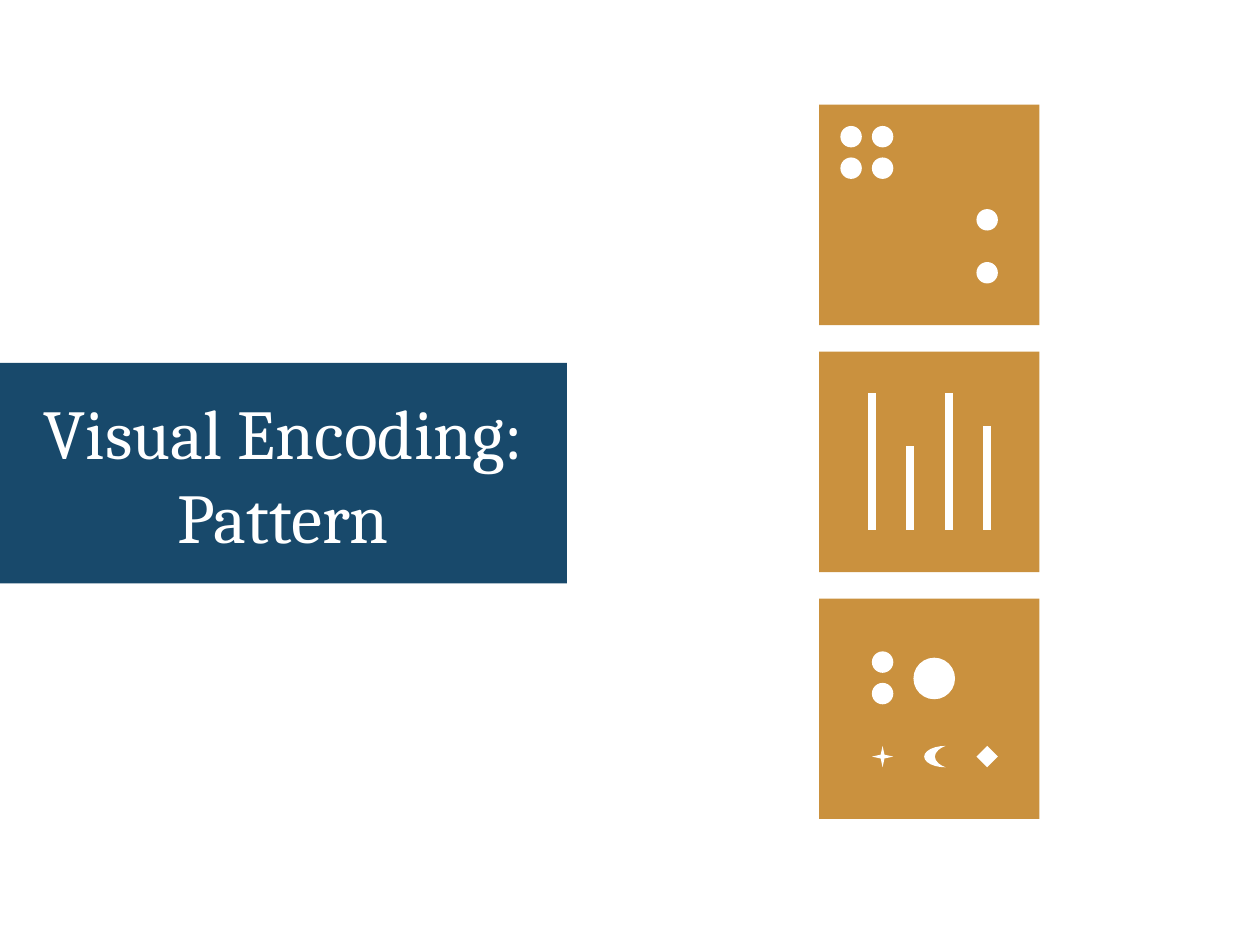
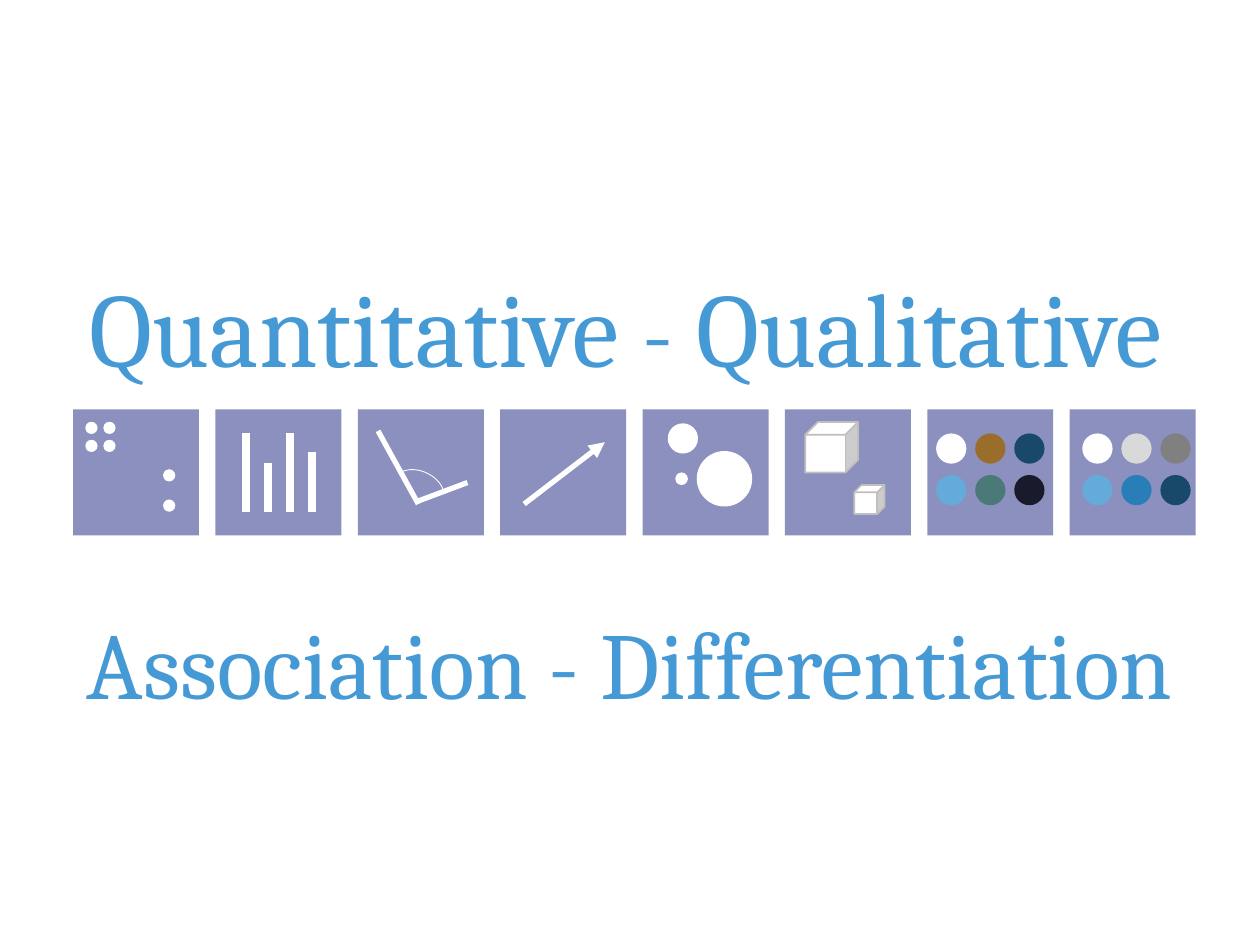
import pptx
import pptx.dml.color
import pptx.enum.shapes
import pptx.enum.text
import pptx.oxml
import pptx.oxml.ns
import pptx.util

Inches = pptx.util.Inches
Pt = pptx.util.Pt
RGBColor = pptx.dml.color.RGBColor
Kind = pptx.enum.shapes.MSO_SHAPE
Anchor = pptx.enum.text.MSO_ANCHOR

WHITE = RGBColor(0xFF, 0xFF, 0xFF)
NAVY = RGBColor(0x18, 0x49, 0x6B)
GOLD = RGBColor(0xCA, 0x91, 0x3E)
LILAC = RGBColor(0x8B, 0x90, 0xBE)
AZURE = RGBColor(0x45, 0x9A, 0xD5)
SKY = RGBColor(0x64, 0xAB, 0xDC)
BLUE = RGBColor(0x29, 0x7E, 0xB8)
BROWN = RGBColor(0x9B, 0x6D, 0x2B)
TEAL = RGBColor(0x4B, 0x79, 0x78)
INK = RGBColor(0x19, 0x1B, 0x2C)
PALE = RGBColor(0xD9, 0xD9, 0xD9)
SILVER = RGBColor(0xBF, 0xBF, 0xBF)
GREY = RGBColor(0x80, 0x80, 0x80)
FONT = "Cambria"
BASE = 1.75
HUES = [WHITE, BROWN, NAVY, SKY, TEAL, INK]
TONES = [WHITE, PALE, GREY, SKY, BLUE, NAVY]


class Tile:
    """A square group whose marks are placed from its top left corner."""

    def __init__(self, slide, left, top, size, color):
        self.group = slide.shapes.add_group_shape()
        self.left, self.top, self.size = left, top, size
        self.mark(Kind.RECTANGLE, 0, 0, size, size, fill=color)

    def mark(self, kind, x, y, wide, high, fill=WHITE, edge=None, weight=1):
        """Add a preset shape, flat and with an optional outline."""
        shape = self.group.shapes.add_shape(
            kind, Inches(self.left + x), Inches(self.top + y), Inches(wide), Inches(high))
        shape.shadow.inherit = False
        if fill is None:
            shape.fill.background()
        else:
            shape.fill.solid()
            shape.fill.fore_color.rgb = fill
        if edge is None:
            shape.line.fill.background()
        else:
            shape.line.color.rgb = edge
            shape.line.width = Pt(weight)
        return shape

    def dot(self, x, y, size, fill=WHITE):
        """Add a round dot."""
        self.mark(Kind.OVAL, x, y, size, size, fill=fill)

    def stroke(self, start, end, weight=3, arrow=False):
        """Add a white line, with an arrowhead at its end if asked."""
        (x1, y1), (x2, y2) = start, end
        line = self.group.shapes.add_connector(
            pptx.enum.shapes.MSO_CONNECTOR.STRAIGHT,
            Inches(self.left + x1), Inches(self.top + y1),
            Inches(self.left + x2), Inches(self.top + y2))
        line.line.color.rgb = WHITE
        line.line.width = Pt(weight)
        space = pptx.oxml.ns.nsdecls("a")
        if arrow:
            line.line._get_or_add_ln().append(
                pptx.oxml.parse_xml(f'<a:tailEnd {space} type="triangle"/>'))
        line.element.spPr.append(pptx.oxml.parse_xml(f"<a:effectLst {space}/>"))


def place(tile):
    """Draw the dots that stand for position."""
    scale = tile.size / BASE
    near = [(x, y) for x in (0.17, 0.42) for y in (0.17, 0.42)]
    for x, y in near + [(1.25, 0.83), (1.25, 1.25)]:
        tile.dot(x * scale, y * scale, 0.17 * scale)


def bars(tile):
    """Draw the upright lines that stand for length."""
    scale = tile.size / BASE
    for step, top in enumerate((0.33, 0.75, 0.33, 0.59)):
        x = (0.42 + 0.305 * step) * scale
        tile.stroke((x, top * scale), (x, 1.42 * scale), weight=4.5)


def forms(tile):
    """Draw marks of differing size and shape."""
    tile.dot(0.42, 0.42, 0.17)
    tile.dot(0.42, 0.67, 0.17)
    tile.dot(0.75, 0.47, 0.33)
    for step, kind in enumerate((Kind.STAR_4_POINT, Kind.MOON, Kind.DIAMOND)):
        tile.mark(kind, 0.42 + 0.415 * step, 1.17, 0.17, 0.17)


def angle(tile):
    """Draw two arms and the arc between them."""
    tile.stroke((0.16, 0.17), (0.48, 0.75))
    tile.stroke((0.87, 0.58), (0.47, 0.73))
    arc = tile.mark(Kind.ARC, 0.28, 0.49, 0.41, 0.28, fill=None, edge=WHITE, weight=0.5)
    arc.adjustments[0] = 119.44
    arc.adjustments[1] = 204.67
    arc.rotation = 23.6


def slope(tile):
    """Draw the arrow that stands for direction."""
    tile.stroke((0.19, 0.75), (0.83, 0.26), arrow=True)


def area(tile):
    """Draw circles of differing area."""
    for x, y, size in ((0.2, 0.11, 0.24), (0.26, 0.5, 0.1), (0.43, 0.33, 0.44)):
        tile.dot(x, y, size)


def cubes(tile):
    """Draw cubes of differing volume."""
    for x, y, wide, high in ((0.16, 0.1, 0.42, 0.4), (0.55, 0.6, 0.24, 0.23)):
        tile.mark(Kind.CUBE, x, y, wide, high, edge=SILVER)


def swatch(tile, colors, left):
    """Draw six colours in two rows of three."""
    for step, color in enumerate(colors):
        row, col = divmod(step, 3)
        tile.dot(left + 0.31 * col, 0.19 + 0.33 * row, 0.24, fill=color)


def hues(tile):
    """Draw the differing hues."""
    swatch(tile, HUES, 0.07)


def tones(tile):
    """Draw the differing tones."""
    swatch(tile, TONES, 0.1)


def write(shape, lines, box, color=AZURE, anchor=Anchor.TOP, space=1.5):
    """Set a shape's box and its centred lines of (text, size) runs."""
    shape.left, shape.top, shape.width, shape.height = map(Inches, box)
    frame = shape.text_frame
    frame.word_wrap = True
    frame.auto_size = pptx.enum.text.MSO_AUTO_SIZE.NONE
    frame.vertical_anchor = anchor
    for index, runs in enumerate(lines):
        para = frame.add_paragraph() if index else frame.paragraphs[0]
        para.alignment = pptx.enum.text.PP_ALIGN.CENTER
        para.line_spacing = space
        for text, size in runs:
            run = para.add_run()
            run.text = text
            run.font.size = Pt(size)
            run.font.name = FONT
            run.font.color.rgb = color


def cover(slide):
    """Build the section title band and its column of tiles."""
    band = slide.shapes.title
    band.fill.solid()
    band.fill.fore_color.rgb = NAVY
    write(band, [[("Visual Encoding:", 40)], [("Pattern", 40)]], (0, 2.88, 4.5, 1.75),
          color=WHITE, anchor=Anchor.MIDDLE, space=1.0)
    for row, draw in enumerate((place, bars, forms)):
        draw(Tile(slide, 6.5, 0.83 + 1.96 * row, BASE, GOLD))


def scale(slide):
    """Build the row of tiles between two large headings."""
    for col, draw in enumerate((place, bars, angle, slope, area, cubes, hues, tones)):
        draw(Tile(slide, 0.58 + 1.13 * col, 3.25, 1, LILAC))
    write(slide.shapes.title, [[("Quantitative ", 60), ("-", 54), (" Qualitative", 60)]],
          (-0.03, 1.53, 9.99, 1.43))
    label = slide.shapes.add_textbox(0, 0, 0, 0)
    write(label, [[("Association - Differentiation", 54)]], (0, 4.3, 9.99, 1.3))


def main():
    """Build and save the deck."""
    deck = pptx.Presentation()
    deck.slide_width, deck.slide_height = Inches(10), Inches(7.5)
    for build in (cover, scale):
        build(deck.slides.add_slide(deck.slide_layouts[5]))
    deck.save("out.pptx")


if __name__ == "__main__":
    main()
